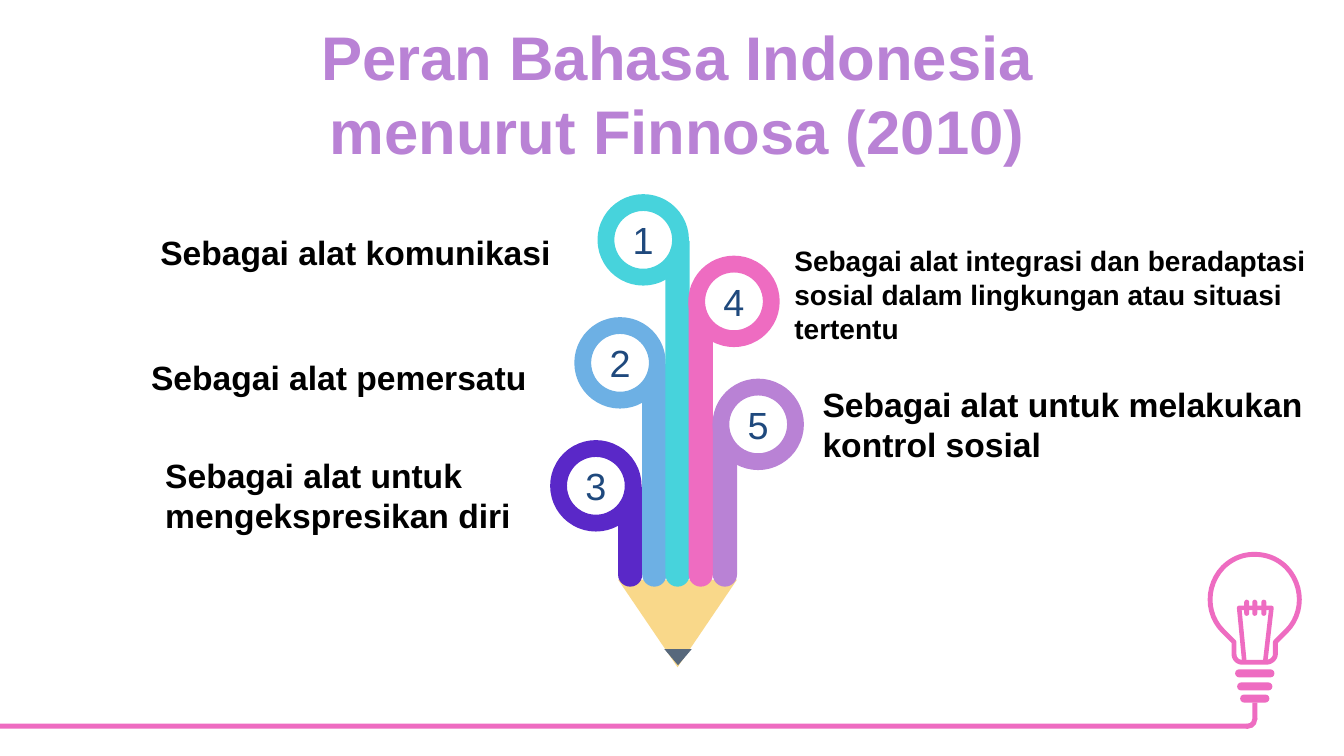
"""Build a slide on the roles of Bahasa Indonesia with a pencil infographic."""
from dataclasses import dataclass

from lxml.etree import SubElement
from pptx import Presentation
from pptx.dml.color import RGBColor
from pptx.enum.shapes import MSO_SHAPE
from pptx.enum.text import MSO_ANCHOR, MSO_AUTO_SIZE, PP_ALIGN
from pptx.oxml.ns import qn
from pptx.shapes.autoshape import Shape
from pptx.shapes.shapetree import SlideShapes
from pptx.text.text import TextFrame
from pptx.util import Emu, Pt

EMU_PER_PX = 9144
FONT = "Arial"
CURVE_STEPS = 12

WHITE = RGBColor(0xFF, 0xFF, 0xFF)
BLACK = RGBColor(0x00, 0x00, 0x00)
NAVY = RGBColor(0x1F, 0x49, 0x7D)
PINK = RGBColor(0xEE, 0x6C, 0xC1)
LILAC = RGBColor(0xB9, 0x82, 0xD5)
VIOLET = RGBColor(0x5A, 0x28, 0xC8)
BLUE = RGBColor(0x6D, 0xB0, 0xE4)
TURQUOISE = RGBColor(0x47, 0xD3, 0xDC)
WOOD = RGBColor(0xF5, 0xB3, 0x17)
LEAD = RGBColor(0x57, 0x68, 0x7C)

STEM_LEFT, STEM_PITCH, STEM_WIDTH, STEM_BOTTOM = 613, 23.5, 24, 582
RING_SIZE, RING_RISE = 74, 38
RING_SHIFT_LEFT, RING_SHIFT_RIGHT = -59, 8

Box = tuple[int, int, int, int]
Point = tuple[float, float]


@dataclass(frozen=True)
class Strand:
    """One numbered pencil strand, listed from left to right."""
    number: str
    top: int
    ring_shift: int
    color: RGBColor


@dataclass(frozen=True)
class Caption:
    """A bold text block."""
    text: str
    box: Box
    size: int = 24
    color: RGBColor = BLACK
    align: PP_ALIGN = PP_ALIGN.LEFT
    anchor: MSO_ANCHOR = MSO_ANCHOR.TOP


@dataclass(frozen=True)
class Part:
    """A plain filled preset shape."""
    kind: MSO_SHAPE
    box: Box
    color: RGBColor
    adjustments: tuple[float, ...] = ()
    rotation: int = 0


STRANDS = (
    Strand("3", 483, RING_SHIFT_LEFT, VIOLET),
    Strand("2", 361, RING_SHIFT_LEFT, BLUE),
    Strand("1", 239, RING_SHIFT_LEFT, TURQUOISE),
    Strand("4", 300, RING_SHIFT_RIGHT, PINK),
    Strand("5", 422, RING_SHIFT_RIGHT, LILAC),
)

CAPTIONS = (
    Caption("Sebagai alat integrasi dan beradaptasi sosial dalam lingkungan atau situasi tertentu",
            (778, 237, 538, 111), size=20),
    Caption("Sebagai alat untuk melakukan kontrol sosial", (806, 376, 518, 91)),
    Caption("Sebagai alat komunikasi", (20, 225, 536, 50), align=PP_ALIGN.RIGHT),
    Caption("Sebagai alat pemersatu", (20, 349, 512, 50), align=PP_ALIGN.RIGHT),
    Caption("Sebagai alat untuk\nmengekspresikan diri", (154, 446, 397, 91)),
    Caption("Peran Bahasa Indonesia menurut Finnosa (2010)", (278, 13, 788, 158),
            size=44, color=LILAC, align=PP_ALIGN.CENTER, anchor=MSO_ANCHOR.MIDDLE),
)

BULB_START = (1244, 550)
BULB_SEGMENTS = (
    (1256, 550, 1267, 554, 1276, 563), (1293, 581, 1293, 609, 1276, 626),
    (1265, 637), (1265, 649), (1265, 653, 1261, 657, 1256, 657),
    (1232, 657), (1227, 657, 1224, 653, 1224, 649), (1224, 637),
    (1213, 626), (1196, 609, 1196, 581, 1213, 563),
    (1222, 554, 1233, 550, 1244, 550),
)
FILAMENT_START = (1234, 655)
FILAMENT_SEGMENTS = ((1229, 603), (1261, 603), (1255, 655))

BULB_PARTS = (
    *(Part(MSO_SHAPE.ROUNDED_RECTANGLE, box, PINK, (0.5,)) for box in (
        (1234, 595, 5, 16), (1242, 595, 5, 16), (1251, 595, 5, 16),
        (1225, 664, 39, 8), (1227, 677, 35, 8), (1230, 689, 29, 8))),
    Part(MSO_SHAPE.RECTANGLE, (0, 718, 1237, 5), PINK),
    Part(MSO_SHAPE.RECTANGLE, (1242, 697, 5, 17), PINK),
    Part(MSO_SHAPE.BLOCK_ARC, (1228, 704, 19, 19), PINK, (213.394, 60.915, 0.271)),
)
PENCIL_WOOD = Part(MSO_SHAPE.TRAPEZOID, (613, 575, 118, 87), WOOD, (0.79,), 180)
PENCIL_LEAD = Part(MSO_SHAPE.ISOSCELES_TRIANGLE, (659, 644, 27, 16), LEAD, (), 180)


def px(length: float) -> Emu:
    """Convert px to EMU."""
    return Emu(round(length * EMU_PER_PX))


def format_text(frame: TextFrame, size: int, color: RGBColor, bold: bool, align: PP_ALIGN) -> None:
    """Format every run in a text frame."""
    for paragraph in frame.paragraphs:
        paragraph.alignment = align
        for run in paragraph.runs:
            run.font.name = FONT
            run.font.size = Pt(size)
            run.font.bold = bold
            run.font.color.rgb = color


def draw_part(shapes: SlideShapes, part: Part) -> Shape:
    """Draw a preset shape with a flat fill and no line."""
    shape = shapes.add_shape(part.kind, *map(px, part.box))
    for index, value in enumerate(part.adjustments):
        shape.adjustments[index] = value
    shape.rotation = part.rotation
    shape.shadow.inherit = False
    shape.fill.solid()
    shape.fill.fore_color.rgb = part.color
    shape.line.fill.background()
    return shape


def trace(start: Point, segments: tuple[tuple[float, ...], ...]) -> list[Point]:
    """Turn line and cubic curve segments into points in EMU."""
    points = [start]
    for segment in segments:
        if len(segment) == 2:
            points.append(segment)
            continue
        controls = (points[-1], segment[:2], segment[2:4], segment[4:])
        for step in range(1, CURVE_STEPS + 1):
            t = step / CURVE_STEPS
            weights = ((1 - t) ** 3, 3 * t * (1 - t) ** 2, 3 * t * t * (1 - t), t ** 3)
            points.append(tuple(sum(w * c[axis] for w, c in zip(weights, controls))
                                for axis in (0, 1)))
    return [(px(x), px(y)) for x, y in points]


def draw_outline(shapes: SlideShapes, points: list[Point], width: float, closed: bool) -> None:
    """Draw a pink outline, filled white when closed."""
    builder = shapes.build_freeform(*points[0], scale=1.0)
    builder.add_line_segments(points[1:], close=closed)
    outline = builder.convert_to_shape()
    outline.shadow.inherit = False
    if closed:
        outline.fill.solid()
        outline.fill.fore_color.rgb = WHITE
    else:
        outline.fill.background()
    outline.line.color.rgb = PINK
    outline.line.width = Pt(width)


def draw_bulb(shapes: SlideShapes) -> None:
    """Draw the light bulb and its wire."""
    draw_outline(shapes, trace(BULB_START, BULB_SEGMENTS), 3.5, True)
    draw_outline(shapes, trace(FILAMENT_START, FILAMENT_SEGMENTS), 3.25, False)
    for part in BULB_PARTS:
        draw_part(shapes, part)


def draw_strand(shapes: SlideShapes, strand: Strand, position: int) -> None:
    """Draw a pencil strand and its numbered ring."""
    left = STEM_LEFT + round(position * STEM_PITCH)
    stem_box = (left, strand.top, STEM_WIDTH, STEM_BOTTOM - strand.top)
    draw_part(shapes, Part(MSO_SHAPE.ROUND_2_SAME_RECTANGLE, stem_box, strand.color, (0.5, 0), 180))
    ring_box = (left + strand.ring_shift, strand.top - RING_RISE, RING_SIZE, RING_SIZE)
    ring = draw_part(shapes, Part(MSO_SHAPE.OVAL, ring_box, WHITE))
    ring.line.color.rgb = strand.color
    ring.line.width = Pt(12)
    frame = ring.text_frame
    frame.text = strand.number
    frame.vertical_anchor = MSO_ANCHOR.MIDDLE
    frame.margin_left = frame.margin_right = 0
    format_text(frame, 27, NAVY, False, PP_ALIGN.CENTER)


def draw_pencil(shapes: SlideShapes) -> None:
    """Draw the pencil tip and its strands."""
    wood = draw_part(shapes, PENCIL_WOOD)
    wood_color = wood.fill._xPr.find(qn("a:solidFill"))[0]
    SubElement(wood_color, qn("a:alpha")).set("val", "50000")
    draw_part(shapes, PENCIL_LEAD)
    for position, strand in enumerate(STRANDS):
        draw_strand(shapes, strand, position)


def draw_caption(shapes: SlideShapes, caption: Caption) -> None:
    """Draw a wrapped text block."""
    frame = shapes.add_textbox(*map(px, caption.box)).text_frame
    frame.word_wrap = True
    frame.auto_size = MSO_AUTO_SIZE.SHAPE_TO_FIT_TEXT
    frame.vertical_anchor = caption.anchor
    frame.text = caption.text
    format_text(frame, caption.size, caption.color, True, caption.align)


def main() -> None:
    """Build and save the presentation."""
    deck = Presentation()
    deck.slide_width, deck.slide_height = px(1333), px(750)
    shapes = deck.slides.add_slide(deck.slide_layouts[6]).shapes
    draw_bulb(shapes)
    draw_pencil(shapes)
    for caption in CAPTIONS:
        draw_caption(shapes, caption)
    deck.save("out.pptx")


if __name__ == "__main__":
    main()
